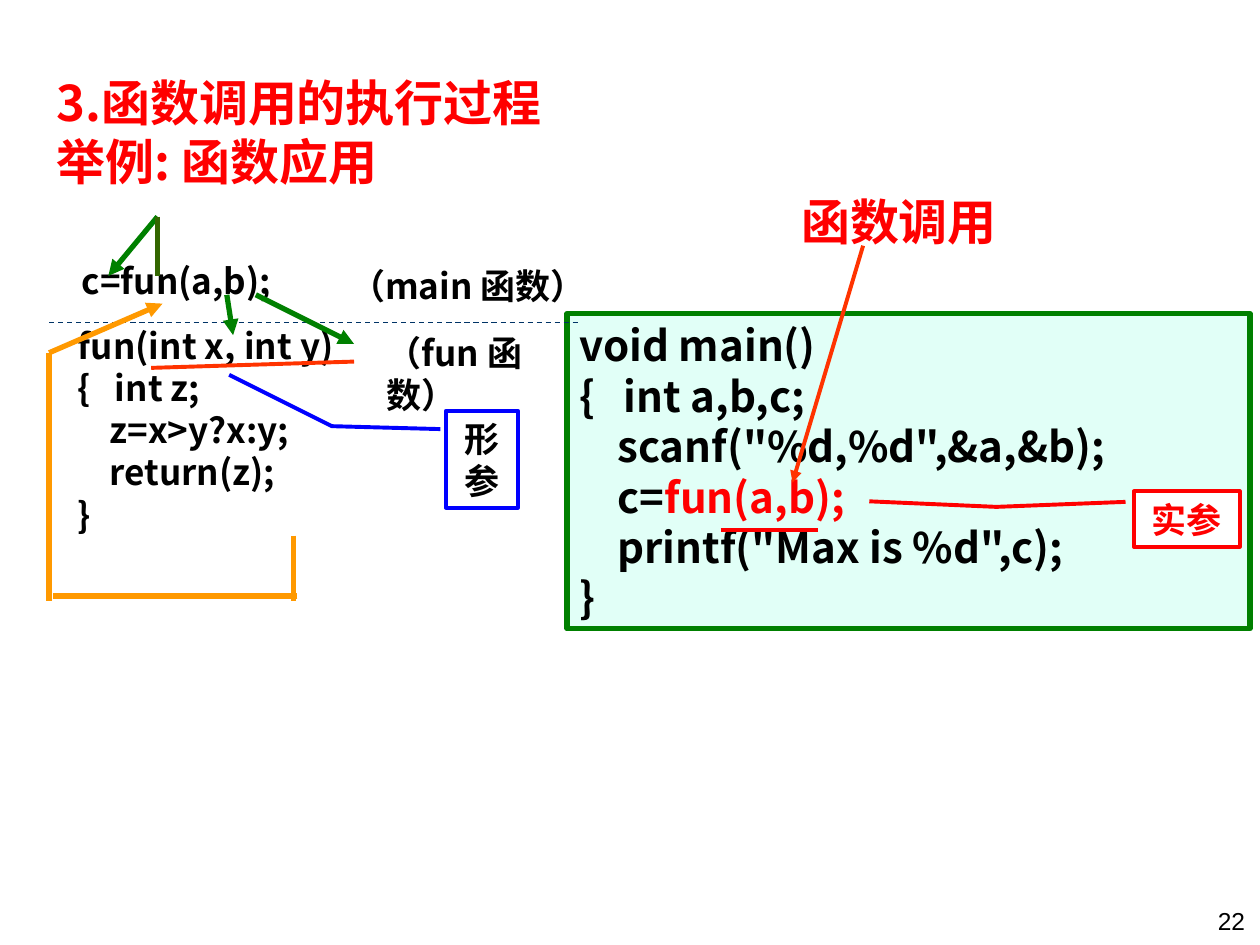
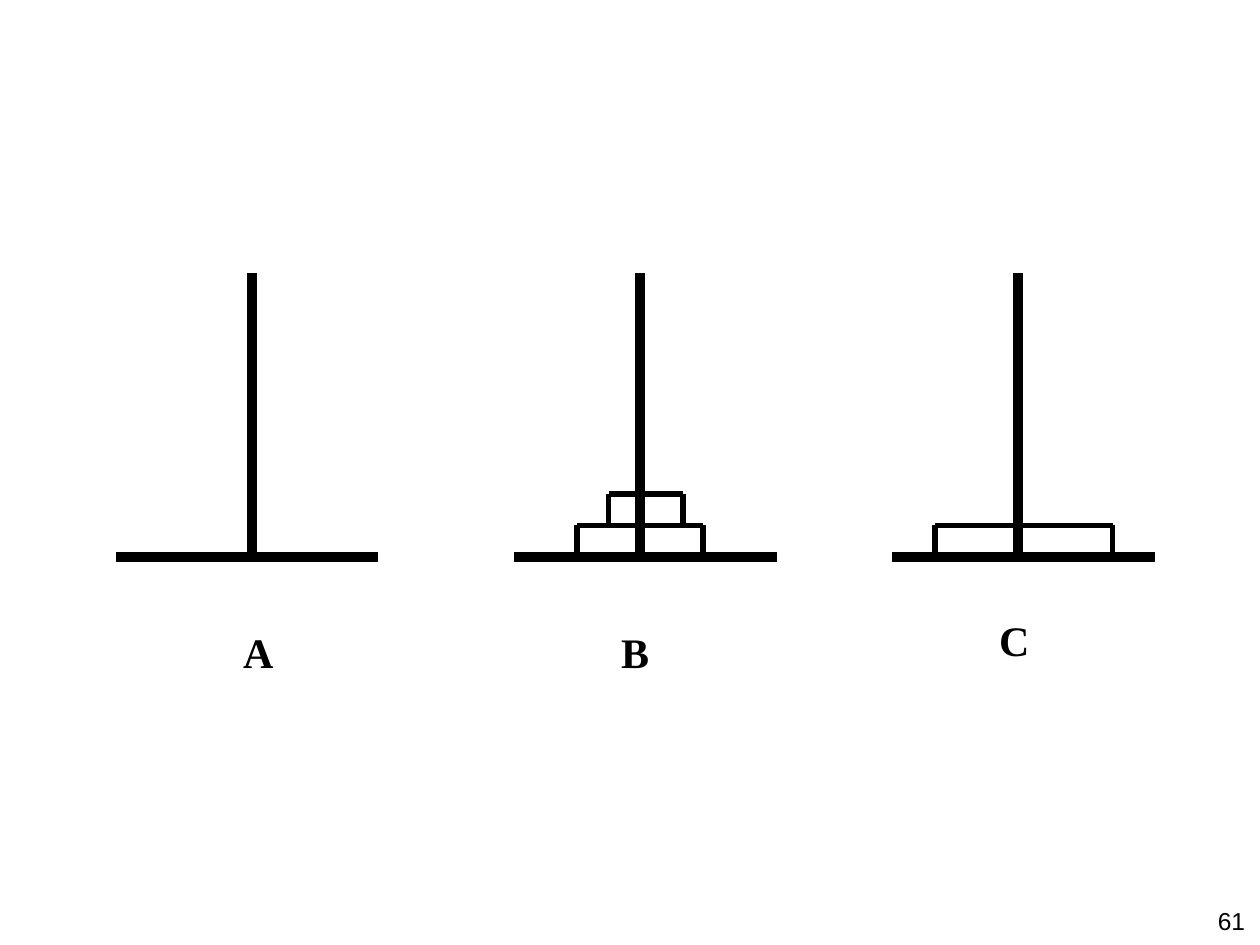
"""Builds two slides: the steps of a function call and a Tower of Hanoi position."""
from lxml import etree
from pptx import Presentation
from pptx.dml.color import RGBColor
from pptx.enum.dml import MSO_LINE
from pptx.enum.shapes import MSO_CONNECTOR, MSO_SHAPE
from pptx.enum.text import MSO_ANCHOR, PP_ALIGN
from pptx.oxml.ns import qn
from pptx.util import Pt

SCALE = 9144
BLANK_LAYOUT = 6
STRAIGHT = MSO_CONNECTOR.STRAIGHT
RECTANGLE = MSO_SHAPE.RECTANGLE
CALLOUT = MSO_SHAPE.LINE_CALLOUT_2
DASH = MSO_LINE.DASH
TOP, MIDDLE = MSO_ANCHOR.TOP, MSO_ANCHOR.MIDDLE
LEFT, CENTER, RIGHT = PP_ALIGN.LEFT, PP_ALIGN.CENTER, PP_ALIGN.RIGHT

BLACK = RGBColor(0x00, 0x00, 0x00)
WHITE = RGBColor(0xFF, 0xFF, 0xFF)
RED = RGBColor(0xFF, 0x00, 0x00)
BLUE = RGBColor(0x00, 0x00, 0xFF)
GREEN = RGBColor(0x00, 0x80, 0x00)
DARK_GREEN = RGBColor(0x33, 0x66, 0x00)
ORANGE = RGBColor(0xFF, 0x99, 0x00)
VERMILION = RGBColor(0xFF, 0x33, 0x00)
NAVY = RGBColor(0x00, 0x33, 0x66)
MINT = RGBColor(0xE1, 0xFF, 0xF7)

CJK_FONT = "Noto Sans CJK SC"
NUMBER_FONT = "Arial"
LABEL_FONT = "Times New Roman"


class Deck:
    """Holds the shared style and the current slide."""

    def __init__(self):
        """Start an empty 4:3 presentation."""
        self.presentation = Presentation()
        self.presentation.slide_width = 1000 * SCALE
        self.presentation.slide_height = 750 * SCALE
        self.slide = None

    def add_slide(self, number):
        """Add a blank white slide with its page number."""
        layout = self.presentation.slide_layouts[BLANK_LAYOUT]
        self.slide = self.presentation.slides.add_slide(layout)
        background = self.slide.background.fill
        background.solid()
        background.fore_color.rgb = WHITE
        self.text((790, 714, 208, 50), [str(number)], 14, font=NUMBER_FONT,
                  bold=False, align=RIGHT)

    def fill_text(self, shape, lines, size, color=BLACK, font=CJK_FONT, bold=True,
                  align=LEFT, anchor=TOP, inset=10):
        """Put lines into a shape; a line is a string or (text, color) runs."""
        frame = shape.text_frame
        frame.word_wrap = True
        frame.vertical_anchor = anchor
        frame.margin_left = inset * SCALE
        frame.margin_right = 10 * SCALE
        frame.margin_top = frame.margin_bottom = 5 * SCALE
        for index, line in enumerate(lines):
            paragraph = frame.add_paragraph() if index else frame.paragraphs[0]
            paragraph.alignment = align
            runs = [(line, color)] if isinstance(line, str) else line
            for text, run_color in runs:
                run = paragraph.add_run()
                run.text = text
                run.font.size = Pt(size)
                run.font.bold = bold
                run.font.name = font
                run.font.color.rgb = run_color
                east_asian = etree.SubElement(run.font._element, qn("a:ea"))
                east_asian.set("typeface", font)

    def text(self, box, lines, size, **style):
        """Add a text box."""
        shape = self.slide.shapes.add_textbox(*(value * SCALE for value in box))
        self.fill_text(shape, lines, size, **style)

    def panel(self, box, lines, size, fill, outline, width, kind=RECTANGLE, **style):
        """Add a filled, outlined shape with text."""
        shape = self.slide.shapes.add_shape(kind, *(value * SCALE for value in box))
        shape.shadow.inherit = False
        shape.fill.solid()
        shape.fill.fore_color.rgb = fill
        shape.line.color.rgb = outline
        shape.line.width = Pt(width)
        self.fill_text(shape, lines, size, **style)
        return shape

    def callout(self, box, text, color, outline, pointer):
        """Add a bordered callout whose pointer is given as box fractions."""
        shape = self.panel(box, [text], 20, WHITE, outline, 2.25, CALLOUT,
                           color=color, align=CENTER, anchor=MIDDLE)
        for index, value in enumerate(pointer):
            shape.adjustments[index] = value

    def line(self, start, end, color, width, arrow=False, dash=None):
        """Add a straight line, with an arrowhead at its end if asked."""
        points = (value * SCALE for value in start + end)
        connector = self.slide.shapes.add_connector(STRAIGHT, *points)
        connector.line.color.rgb = color
        connector.line.width = Pt(width)
        if dash:
            connector.line.dash_style = dash
        properties = connector._element.spPr
        if arrow:
            head = etree.SubElement(properties.find(qn("a:ln")), qn("a:tailEnd"))
            head.set("type", "triangle")
        etree.SubElement(properties, qn("a:effectLst"))

    def disk(self, left, right, bottom):
        """Draw a disk as two sides and a top."""
        top = bottom - 25
        for x in (left, right):
            self.line((x, bottom), (x, top), BLACK, 3)
        self.line((left, top), (right, top), BLACK, 3)


def build_call_slide(deck):
    """Show how a call passes arguments and returns a value."""
    deck.add_slide(22)
    deck.text((35, 52, 559, 104), ["3.函数调用的执行过程", "举例: 函数应用"], 28,
              color=RED, anchor=MIDDLE)
    deck.text((626, 147, 181, 57), ["函数调用"], 28, color=RED)

    main_code = [
        "void main()",
        "{   int a,b,c;",
        '    scanf("%d,%d",&a,&b);',
        [("    c=", BLACK), ("fun(a,b);", RED)],
        '    printf("Max is %d",c);',
        "}",
    ]
    deck.panel((450, 249, 542, 250), main_code, 24, MINT, GREEN, 3)
    deck.callout((900, 390, 84, 44), "实参", RED, RED,
                 (0.19, -0.08, 0.28, -1.3, 0.18, -2.5))
    deck.line((572, 421), (649, 421), RED, 2.25)

    deck.line((39, 256), (461, 256), NAVY, 0.75, dash=DASH)
    deck.text((55, 201, 204, 44), ["c=fun(a,b);"], 20)
    deck.text((268, 205, 228, 44), ["（main 函数）"], 20)
    deck.text((297, 258, 180, 77), ["（fun 函数）"], 20)
    fun_code = ["fun(int x, int y)", "{   int z;", "    z=x>y?x:y;",
                "    return(z);", "}"]
    deck.text((52, 253, 284, 210), fun_code, 20)

    for start, end in (((180, 234), (185, 266)), ((203, 234), (281, 273))):
        deck.line(start, end, GREEN, 3, arrow=True)
    deck.line((233, 425), (233, 477), ORANGE, 3)
    deck.line((236, 473), (42, 473), ORANGE, 3)
    deck.line((39, 477), (39, 280), ORANGE, 3)
    deck.line((39, 280), (129, 241), ORANGE, 3, arrow=True)
    deck.line((685, 195), (629, 383), VERMILION, 2.25, arrow=True)
    deck.callout((354, 326, 57, 77), "形参", BLACK, BLUE,
                 (0.19, -0.08, 0.16, -1.59, -0.37, -3.02))
    deck.line((120, 292), (281, 287), VERMILION, 2.25)
    deck.line((125, 172), (86, 219), GREEN, 3, arrow=True)
    deck.line((125, 172), (125, 219), DARK_GREEN, 3)


def build_hanoi_slide(deck):
    """Show three pegs with two disks on B and one on C."""
    deck.add_slide(61)
    base = 442
    pegs = (("A", 92, 300, 200, 158, 492), ("B", 408, 617, 508, 458, 492),
            ("C", 708, 917, 808, 758, 483))
    for name, left, right, peg, label_left, label_top in pegs:
        deck.line((left, base), (right, base), BLACK, 6)
        deck.line((peg, 217), (peg, base), BLACK, 6)
        deck.panel((label_left, label_top, 100, 50), [name], 24, WHITE, WHITE,
                   0.75, font=LABEL_FONT, inset=35)
    for left, right, bottom in ((742, 883, base), (458, 558, base),
                                (483, 542, base - 25)):
        deck.disk(left, right, bottom)


def main():
    """Build and save the presentation."""
    deck = Deck()
    build_call_slide(deck)
    build_hanoi_slide(deck)
    deck.presentation.save("out.pptx")


if __name__ == "__main__":
    main()
